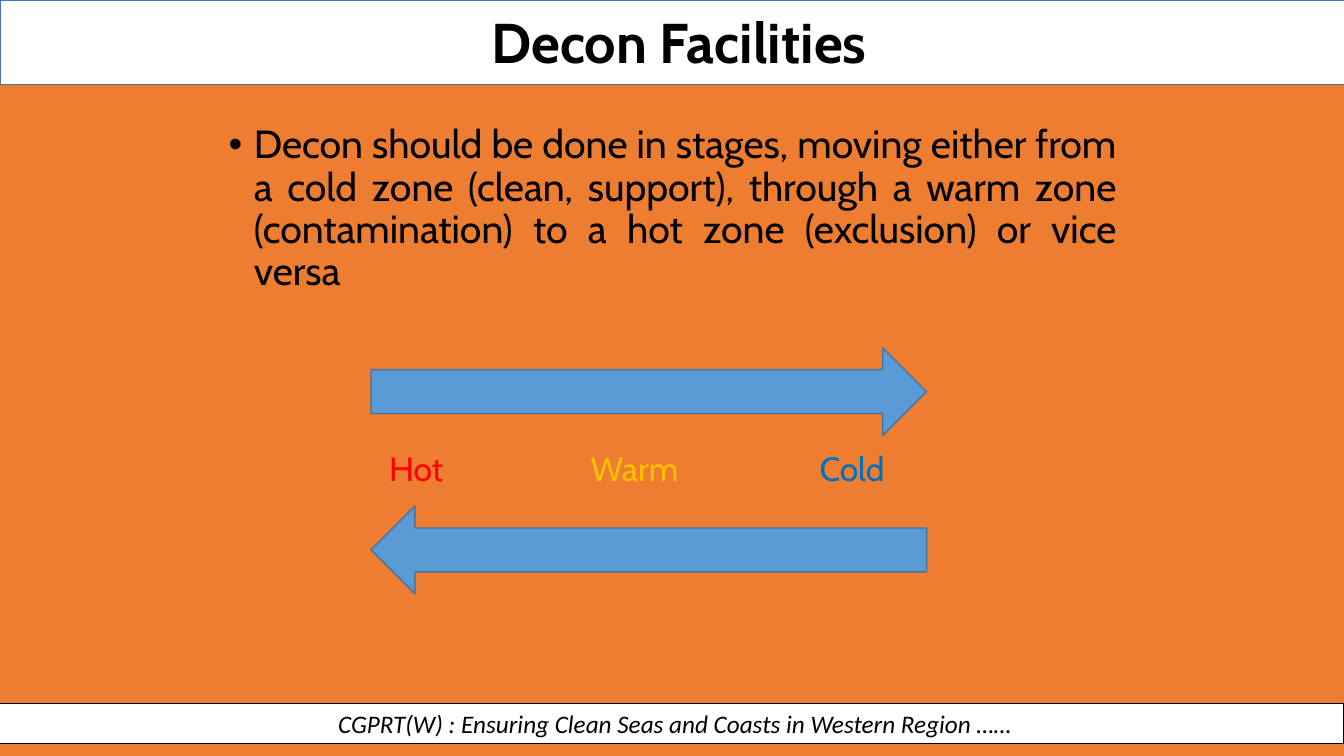
from lxml.etree import SubElement
from pptx import Presentation
from pptx.dml.color import RGBColor
from pptx.enum.shapes import MSO_SHAPE
from pptx.enum.text import MSO_ANCHOR, PP_ALIGN
from pptx.oxml.ns import qn
from pptx.util import Inches, Pt

COLORS = {
    "background": "ED7D31", "white": "FFFFFF", "black": "000000",
    "title_line": "4472C4", "arrow": "5B9BD5", "arrow_line": "43739E",
    "hot": "FF0000", "warm": "FFC000", "cold": "0070C0",
}


def color(name):
    return RGBColor.from_string(COLORS[name])


def add_text(paragraph, text, size, font="Cabin", fill="black", bold=False,
             italic=False, align=PP_ALIGN.LEFT, spacing=1.0):
    paragraph.alignment = align
    paragraph.line_spacing = spacing
    run = paragraph.add_run()
    run.text = text
    run.font.size = Pt(size)
    run.font.name = font
    run.font.bold = bold
    run.font.italic = italic
    run.font.color.rgb = color(fill)


prs = Presentation()
prs.slide_width, prs.slide_height = Inches(13.33), Inches(7.5)
slide = prs.slides.add_slide(prs.slide_layouts[6])
slide.background.fill.solid()
slide.background.fill.fore_color.rgb = color("background")

# Footer and title bands, then the two opposite arrows
bands_and_arrows = []
for kind, left, top, width, height, fill, line, weight, rotation in (
    (MSO_SHAPE.RECTANGLE, 0, 6.98, 13.33, 0.4, "white", "black", 0.75, 0),
    (MSO_SHAPE.RECTANGLE, 0, 0, 13.33, 0.84, "white", "title_line", 0.5, 0),
    (MSO_SHAPE.RIGHT_ARROW, 3.68, 3.45, 5.51, 0.87, "arrow", "arrow_line", 1, 0),
    (MSO_SHAPE.RIGHT_ARROW, 3.68, 5.02, 5.51, 0.87, "arrow", "arrow_line", 1, 180),
):
    part = slide.shapes.add_shape(
        kind, Inches(left), Inches(top), Inches(width), Inches(height))
    part.shadow.inherit = False
    part.fill.solid()
    part.fill.fore_color.rgb = color(fill)
    part.line.color.rgb = color(line)
    part.line.width = Pt(weight)
    part.rotation = rotation
    bands_and_arrows.append(part)

# Footer motto
footer = bands_and_arrows[0].text_frame
footer.vertical_anchor = MSO_ANCHOR.MIDDLE
footer.margin_left = Inches(0.16)
add_text(footer.paragraphs[0],
         "CGPRT(W) : Ensuring Clean Seas and Coasts in Western Region ……",
         18, font="Calibri", italic=True, align=PP_ALIGN.CENTER)

# Text areas
text_frames = []
for left, top, width, height in (
    (0.5, 0.14, 12.47, 0.61), (2.17, 1.19, 9, 5.71), (3.76, 4.39, 5.28, 0.51),
):
    frame = slide.shapes.add_textbox(
        Inches(left), Inches(top), Inches(width), Inches(height)).text_frame
    frame.word_wrap = True
    text_frames.append(frame)
title, guidance, zones = text_frames

# Title
title.vertical_anchor = MSO_ANCHOR.MIDDLE
add_text(title.paragraphs[0], "Decon Facilities", 40, bold=True,
         align=PP_ALIGN.CENTER, spacing=0.9)

# Bulleted guidance
stages = guidance.paragraphs[0]
stages_format = stages._p.get_or_add_pPr()
stages_format.set("marL", str(Inches(0.25)))
stages_format.set("indent", str(-Inches(0.25)))
SubElement(stages_format, qn("a:buFont"), typeface="Arial")
SubElement(stages_format, qn("a:buChar"), char="•")
add_text(stages,
         "Decon should be done in stages, moving either from a cold zone "
         "(clean, support), through a warm zone (contamination) to a hot zone "
         "(exclusion) or vice versa",
         28, align=PP_ALIGN.JUSTIFY, spacing=0.9)

# Zone labels, set on tab stops between the arrows
zone_line = zones.paragraphs[0]
tab_list = SubElement(zone_line._p.get_or_add_pPr(), qn("a:tabLst"))
for stop in (2.0, 4.27):
    SubElement(tab_list, qn("a:tab"), pos=str(Inches(stop)), algn="l")
for label, zone in (("Hot\t", "hot"), ("Warm\t", "warm"), ("Cold", "cold")):
    add_text(zone_line, label, 24, fill=zone)

prs.save("out.pptx")
